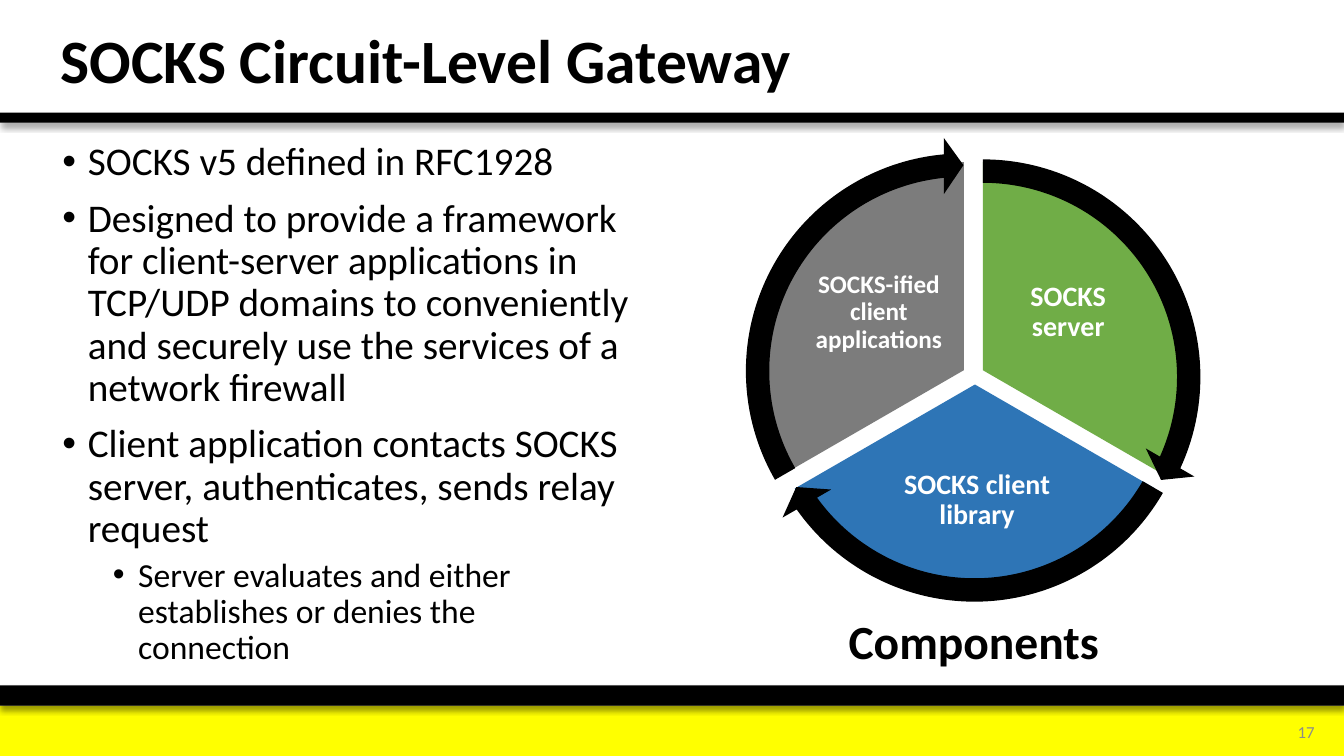
from lxml.etree import SubElement
from pptx import Presentation
from pptx.dml.color import RGBColor
from pptx.enum.shapes import MSO_SHAPE
from pptx.enum.text import MSO_ANCHOR, MSO_AUTO_SIZE, PP_ALIGN
from pptx.oxml.ns import qn
from pptx.util import Cm, Pt

BLACK, WHITE, YELLOW = "000000", "FFFFFF", "FFFF00"
GREEN, BLUE, GRAY, PALE = "70AD47", "2E75B6", "7C7C7C", "8C8C8C"
WIDE, HIGH = 33.87, 19.05
PIE, RING = 10.49, 11.79


def paint(part, code):
    part.rgb = RGBColor.from_string(code)


def write(frame, text, size=20, color=BLACK, bold=False, align=PP_ALIGN.LEFT,
          line=None, before=0, after=0, indent=None, level=0, first=True):
    para = frame.paragraphs[0] if first else frame.add_paragraph()
    para.level, para.alignment = level, align
    para.line_spacing = line
    para.space_before, para.space_after = Pt(before), Pt(after)
    if indent is not None:
        props = para._p.get_or_add_pPr()
        props.set("marL", str(Cm(indent)))
        props.set("indent", str(Cm(-0.64)))
        SubElement(props, qn("a:buFont")).set("typeface", "Arial")
        SubElement(props, qn("a:buChar")).set("char", "•")
    run = para.add_run()
    run.text = text
    run.font.name, run.font.size, run.font.bold = "Calibri", Pt(size), bold
    paint(run.font.color, color)


class Deck:
    def __init__(self):
        self.file = Presentation()
        self.file.slide_width, self.file.slide_height = Cm(WIDE), Cm(HIGH)
        self.slide = self.file.slides.add_slide(self.file.slide_layouts[1])
        self.home = self.slide.shapes

    def group(self):
        return self.home.add_group_shape().shapes

    def place(self, holder, box, anchor):
        holder.left, holder.top, holder.width, holder.height = map(Cm, box)
        frame = holder.text_frame
        frame.word_wrap, frame.auto_size = True, MSO_AUTO_SIZE.NONE
        frame.vertical_anchor = anchor
        return frame

    def title(self, text, box):
        frame = self.place(self.home.title, box, MSO_ANCHOR.MIDDLE)
        write(frame, text, size=44, bold=True, line=0.9)

    def list(self, items, box):
        frame = self.place(self.slide.placeholders[1], box, MSO_ANCHOR.TOP)
        for i, (level, text) in enumerate(items):
            write(frame, text, size=28 - 4 * level, line=0.9,
                  before=10 - 5 * level, indent=0.64 + 1.27 * level,
                  level=level, first=i == 0)

    def shape(self, home, kind, box, color, turns=()):
        item = home.add_shape(kind, *map(Cm, box))
        item.shadow.inherit = False
        item.fill.solid()
        paint(item.fill.fore_color, color)
        item.line.fill.background()
        for i, turn in enumerate(turns):
            item.adjustments[i] = turn
        return item

    def band(self, home, top, high, color, shade=True):
        item = self.shape(home, MSO_SHAPE.RECTANGLE, (0, top, WIDE, high), color)
        if shade:
            cast = SubElement(item._element.spPr.find(qn("a:effectLst")),
                              qn("a:outerShdw"), blurRad=str(Pt(4)),
                              dist=str(Pt(3)), dir="5400000", rotWithShape="0")
            tint = SubElement(cast, qn("a:srgbClr"), val=BLACK)
            SubElement(tint, qn("a:alpha"), val="40000")

    def disc(self, home, kind, mid, size, color, turns):
        x, y = mid
        box = (x - size / 2, y - size / 2, size, size)
        self.shape(home, kind, box, color, turns)

    def label(self, home, text, box, inset=None, anchor=MSO_ANCHOR.MIDDLE,
              grow=False, **style):
        frame = self.place(home.add_textbox(0, 0, 0, 0), box, anchor)
        if inset is not None:
            frame.margin_left = frame.margin_right = Cm(inset)
            frame.margin_top = frame.margin_bottom = Cm(inset)
        if grow:
            frame.auto_size = MSO_AUTO_SIZE.SHAPE_TO_FIT_TEXT
        write(frame, text, **style)


def main():
    deck = Deck()
    base = deck.group()
    deck.band(base, 17.78, 1.27, YELLOW, shade=False)
    deck.band(base, 17.27, 0.51, BLACK)
    deck.band(deck.home, 2.84, 0.25, BLACK)
    deck.label(deck.home, "17", (31.45, 17.93, 1.93, 1.02), size=12,
               color=PALE, align=PP_ALIGN.RIGHT)

    deck.title("SOCKS Circuit-Level Gateway", (1.27, 0.18, 26.59, 2.84))
    deck.list([
        (0, "SOCKS v5 defined in RFC1928"),
        (0, "Designed to provide a framework for client-server applications "
            "in TCP/UDP domains to conveniently and securely use the services "
            "of a network firewall"),
        (0, "Client application contacts SOCKS server, authenticates, sends "
            "relay request"),
        (1, "Server evaluates and either establishes or denies the connection"),
    ], (1.32, 3.45, 14.83, 13.54))

    wheel = deck.group()
    parts = [
        ("SOCKS server", 20, GREEN, (24.77, 9.33), (162, 18),
         (25.04, 6.32, 3.76, 3.12), (24.77, 9.5), (14.73, 161.99)),
        ("SOCKS client library", 20, BLUE, (24.57, 9.69), (18, 90),
         (21.82, 11.25, 5.61, 2.74), (24.56, 9.68), (86.72, 18)),
        ("SOCKS-ified client applications", 18, GRAY, (24.29, 9.33), (90, 162),
         (20.27, 6.32, 3.76, 3.12), (24.28, 9.35), (158.73, 90)),
    ]
    for text, size, color, mid, turns, box, _, _ in parts:
        deck.disc(wheel, MSO_SHAPE.PIE, mid, PIE, color, turns)
        deck.label(wheel, text, box, inset=0.07, size=size, color=WHITE,
                   bold=True, align=PP_ALIGN.CENTER, line=0.9,
                   after=0.35 * size)
    for *_, mid, (end, start) in parts:
        deck.disc(wheel, MSO_SHAPE.CIRCULAR_ARROW, mid, RING, BLACK,
                  (0.05, 3.28, end, start, 0.06))

    deck.label(deck.home, "Components", (19.56, 15.57, 9.96, 1.47),
               anchor=MSO_ANCHOR.TOP, grow=True, size=34, bold=True,
               align=PP_ALIGN.CENTER, line=0.8)
    deck.file.save("out.pptx")


if __name__ == "__main__":
    main()
